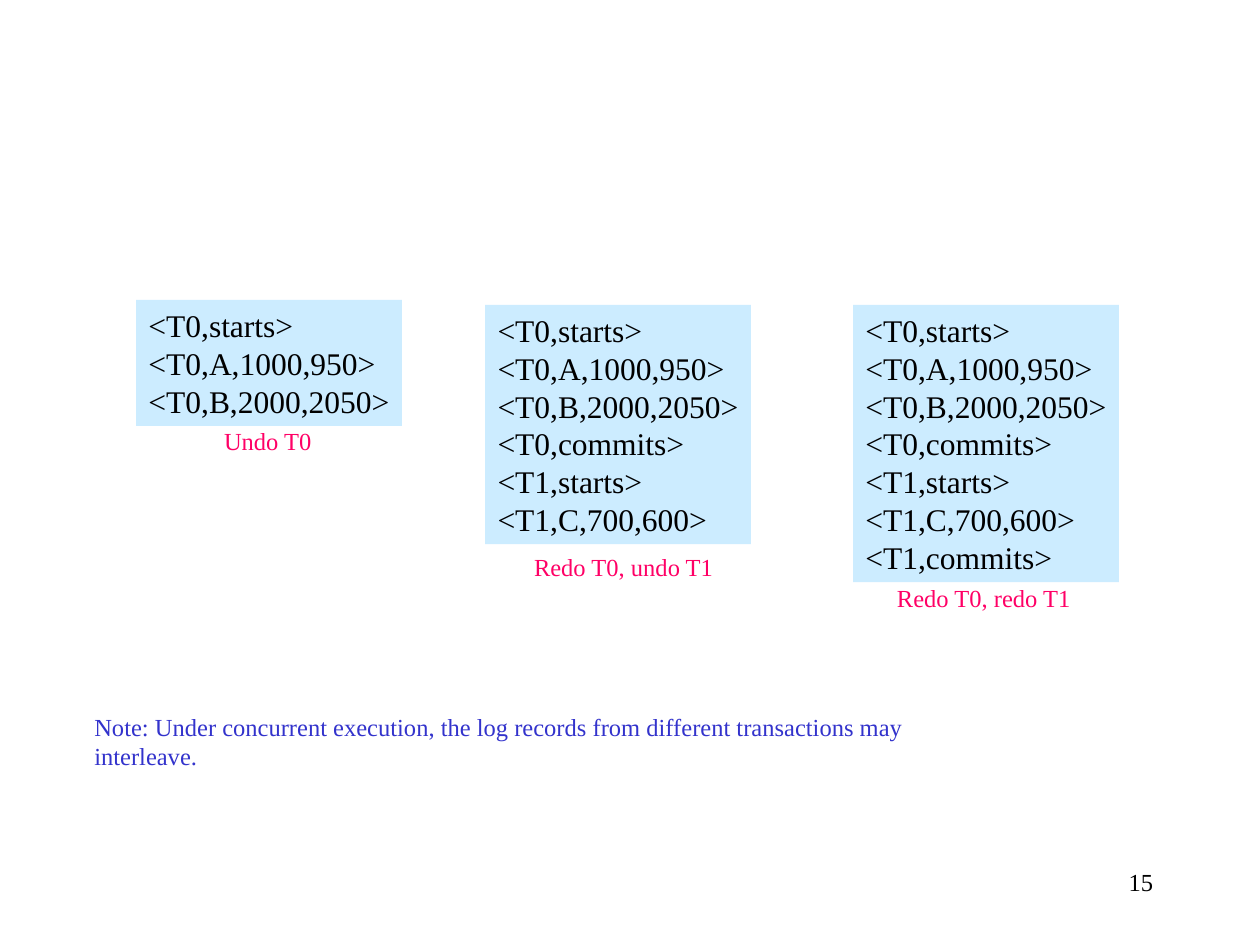
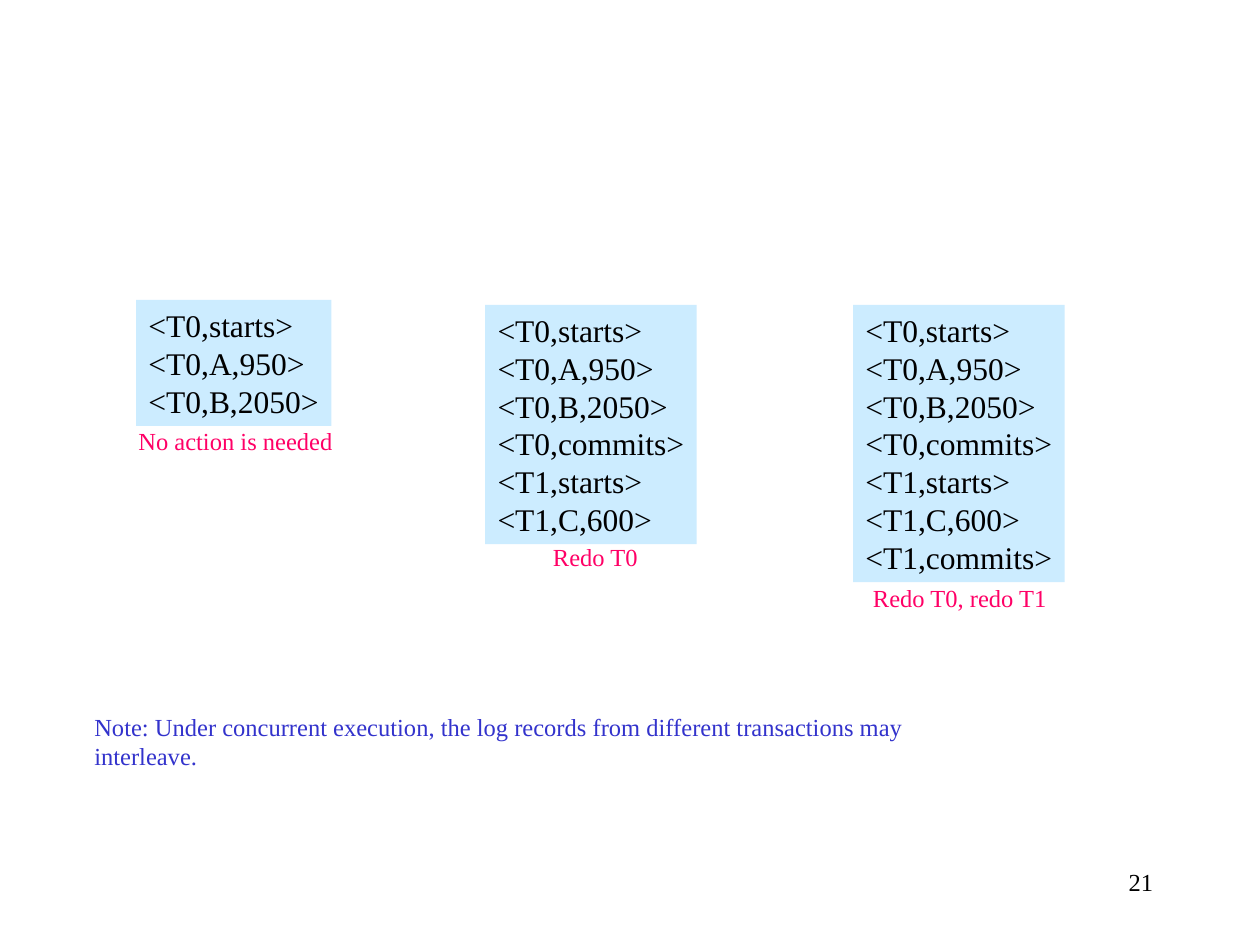
from pptx import Presentation
from pptx.dml.color import RGBColor
from pptx.enum.shapes import MSO_SHAPE
from pptx.enum.text import MSO_ANCHOR, PP_ALIGN
from pptx.util import Pt

PX = 9144  # EMU per px, 100 px to the inch
RECTANGLE = MSO_SHAPE.RECTANGLE
TOP = MSO_ANCHOR.TOP
LEFT, RIGHT = PP_ALIGN.LEFT, PP_ALIGN.RIGHT

COLORS = {"text": "000000", "log": "CCECFF", "action": "FF0066", "note": "3333CC"}
FONT = "Times New Roman"
LOG_SIZE, SMALL_SIZE = 18, 14
LINE_HEIGHT, LOG_PADDING = 30, 10
NOTE = ("Note: Under concurrent execution, the log records from different "
        "transactions may interleave.")

# Left, top and number of records in each of the three log states
LOG_STATES = [(108, 238, 3), (385, 242, 6), (677, 242, 7)]

# Records of the full log, log widths, and (action, left, top, width) per state
PAGES = [
    {
        "number": "15",
        "records": ["<T0,starts>", "<T0,A,1000,950>", "<T0,B,2000,2050>",
                    "<T0,commits>", "<T1,starts>", "<T1,C,700,600>", "<T1,commits>"],
        "widths": [211, 211, 211],
        "actions": [("Undo T0", 168, 333, 90),
                    ("Redo T0, undo T1", 414, 433, 163),
                    ("Redo T0, redo T1", 702, 458, 158)],
    },
    {
        "number": "21",
        "records": ["<T0,starts>", "<T0,A,950>", "<T0,B,2050>",
                    "<T0,commits>", "<T1,starts>", "<T1,C,600>", "<T1,commits>"],
        "widths": [155, 168, 168],
        "actions": [("No action is needed", 100, 333, 174),
                    ("Redo T0", 429, 425, 88),
                    ("Redo T0, redo T1", 683, 458, 158)],
    },
]


class Deck:
    def __init__(self):
        self.prs = Presentation()
        self.prs.slide_width, self.prs.slide_height = 1000 * PX, 750 * PX
        self.slide = None

    def new_slide(self):
        self.slide = self.prs.slides.add_slide(self.prs.slide_layouts[6])

    def fill_text(self, shape, lines, size, color, align=LEFT, wrap=False):
        frame = shape.text_frame
        frame.word_wrap = wrap
        frame.vertical_anchor = TOP
        for index, line in enumerate(lines):
            paragraph = frame.add_paragraph() if index else frame.paragraphs[0]
            paragraph.alignment = align
            run = paragraph.add_run()
            run.text = line
            run.font.name = FONT
            run.font.size = Pt(size)
            run.font.color.rgb = RGBColor.from_string(COLORS[color])

    def label(self, text, left, top, width, height=33, color="text", **style):
        box = self.slide.shapes.add_textbox(left * PX, top * PX, width * PX, height * PX)
        self.fill_text(box, [text], SMALL_SIZE, color, **style)

    def log(self, records, left, top, width):
        height = LINE_HEIGHT * len(records) + LOG_PADDING
        box = self.slide.shapes.add_shape(
            RECTANGLE, left * PX, top * PX, width * PX, height * PX)
        box.shadow.inherit = False
        box.fill.solid()
        box.fill.fore_color.rgb = RGBColor.from_string(COLORS["log"])
        box.line.fill.background()
        self.fill_text(box, records, LOG_SIZE, "text")


def main():
    deck = Deck()
    for page in PAGES:
        deck.new_slide()
        # Page number
        deck.label(page["number"], 717, 683, 208, 50, align=RIGHT, wrap=True)
        # Log states
        for (left, top, count), width in zip(LOG_STATES, page["widths"]):
            deck.log(page["records"][:count], left, top, width)
        # Recovery actions
        for action, left, top, width in page["actions"]:
            deck.label(action, left, top, width, color="action")
        # Note, wrapped onto two lines
        deck.label(NOTE, 65, 560, 738, 57, color="note", wrap=True)
    deck.prs.save("out.pptx")


if __name__ == "__main__":
    main()
